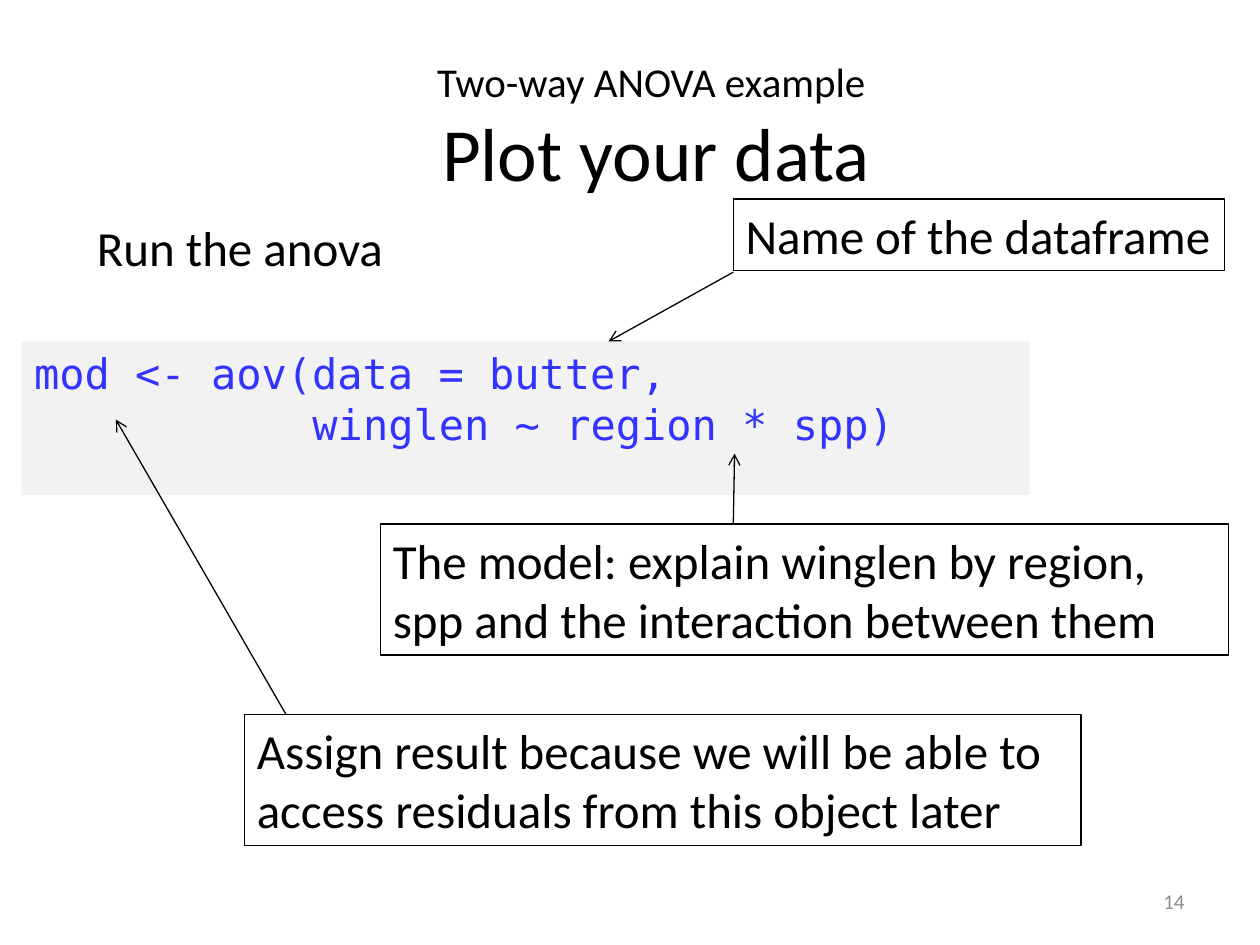
from dataclasses import dataclass

from lxml.etree import SubElement
from pptx import Presentation
from pptx.dml.color import RGBColor
from pptx.enum.shapes import MSO_CONNECTOR, MSO_SHAPE
from pptx.enum.text import MSO_ANCHOR, MSO_AUTO_SIZE, PP_ALIGN
from pptx.oxml.ns import qn
from pptx.util import Inches, Pt


@dataclass(frozen=True)
class Theme:
    ink: RGBColor = RGBColor(0x00, 0x00, 0x00)
    code: RGBColor = RGBColor(0x33, 0x33, 0xFF)
    code_back: RGBColor = RGBColor(0xF2, 0xF2, 0xF2)
    muted: RGBColor = RGBColor(0x8C, 0x8C, 0x8C)
    text_font: str = "Calibri"
    code_font: str = "DejaVu Sans Mono"
    kicker_size: float = 23.4
    title_size: float = 42.9
    note_size: float = 28
    code_size: float = 24
    number_size: float = 12
    line_width: float = 0.75


theme = Theme()


def add_run(paragraph, text, size, color=theme.ink, font=theme.text_font):
    run = paragraph.add_run()
    run.text = text
    run.font.size = Pt(size)
    run.font.name = font
    run.font.color.rgb = color


def place(shape, left, top, width, height):
    shape.left, shape.top = Inches(left), Inches(top)
    shape.width, shape.height = Inches(width), Inches(height)


prs = Presentation()
prs.slide_width, prs.slide_height = Inches(10), Inches(7.5)
slide = prs.slides.add_slide(prs.slide_layouts[1])
shapes = slide.shapes

# Title
title = shapes.title
place(title, 1.33, 0.33, 7.75, 1.35)
title.text_frame.auto_size = MSO_AUTO_SIZE.NONE
title.text_frame.vertical_anchor = MSO_ANCHOR.MIDDLE
heading = title.text_frame.paragraphs[0]
heading.alignment = PP_ALIGN.CENTER
add_run(heading, "Two-way ANOVA example ", theme.kicker_size)
heading.add_line_break()
add_run(heading, "Plot your data", theme.title_size)

# Code: the second line is indented to the first argument of aov()
code = slide.placeholders[1]
place(code, 0.17, 2.71, 8, 1.22)
code.fill.solid()
code.fill.fore_color.rgb = theme.code_back
code.text_frame.auto_size = MSO_AUTO_SIZE.NONE
code_lines = [("mod <- aov(data = butter,", 0), ("winglen ~ region * spp)", 2.21)]
for i, (code_text, indent) in enumerate(code_lines):
    code_line = code.text_frame.add_paragraph() if i else code.text_frame.paragraphs[0]
    code_line.space_before = Pt(0)
    props = code_line._p.get_or_add_pPr()
    props.set("marL", str(Inches(indent)))
    props.set("indent", "0")
    SubElement(props, qn("a:buNone"))
    add_run(code_line, code_text, theme.code_size, theme.code, theme.code_font)

# Step heading
step = shapes.add_textbox(Inches(0.67), Inches(1.68), Inches(9.08), Inches(0.57))
step.text_frame.word_wrap = True
add_run(step.text_frame.paragraphs[0], "Run the anova", theme.note_size)

# Notes, each with an arrow to the part of the code it explains
notes = [
    ("Name of the dataframe", (5.82, 1.58, 3.9, 0.57), (5.82, 2.16), (4.83, 2.71)),
    ("The model: explain winglen by region, spp and the interaction between them",
     (3.02, 4.16, 6.73, 1.04), (5.82, 4.16), (5.83, 3.6)),
    ("Assign result because we will be able to access residuals from this object later",
     (1.94, 5.67, 6.64, 1.04), (2.27, 5.67), (0.92, 3.33)),
]
for note_text, box, start, end in notes:
    note = shapes.add_shape(MSO_SHAPE.RECTANGLE, *map(Inches, box))
    note.shadow.inherit = False
    note.fill.background()
    note.line.color.rgb = theme.ink
    note.line.width = Pt(theme.line_width)
    note.text_frame.word_wrap = True
    note.text_frame.vertical_anchor = MSO_ANCHOR.TOP
    note_line = note.text_frame.paragraphs[0]
    note_line.alignment = PP_ALIGN.LEFT
    add_run(note_line, note_text, theme.note_size)

    arrow = shapes.add_connector(MSO_CONNECTOR.STRAIGHT, *map(Inches, start + end))
    arrow.line.color.rgb = theme.ink
    arrow.line.width = Pt(theme.line_width)
    SubElement(arrow.line._get_or_add_ln(), qn("a:tailEnd"), type="arrow")
    SubElement(arrow._element.spPr, qn("a:effectLst"))

# Slide number
number = shapes.add_textbox(Inches(7.17), Inches(6.95), Inches(2.33), Inches(0.4))
number.text_frame.word_wrap = True
number.text_frame.vertical_anchor = MSO_ANCHOR.MIDDLE
number_line = number.text_frame.paragraphs[0]
number_line.alignment = PP_ALIGN.RIGHT
add_run(number_line, "14", theme.number_size, theme.muted)

prs.save("out.pptx")
